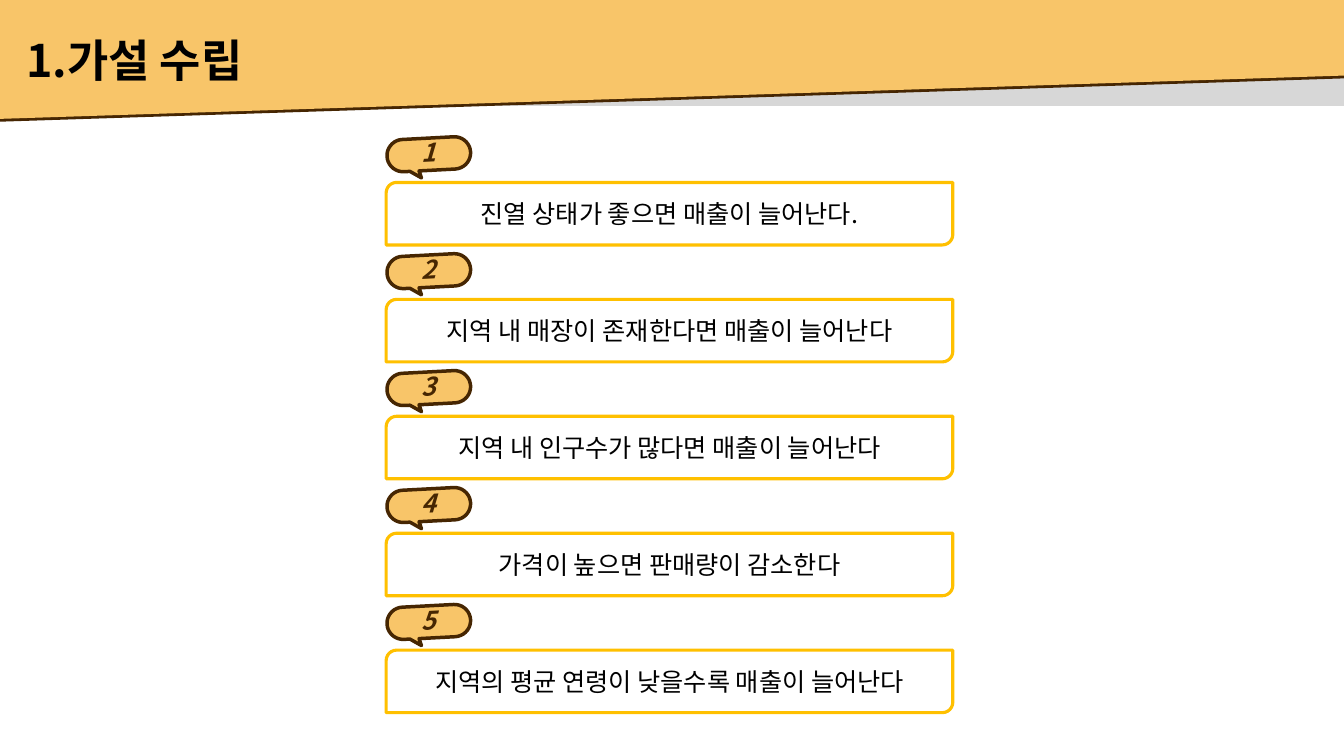
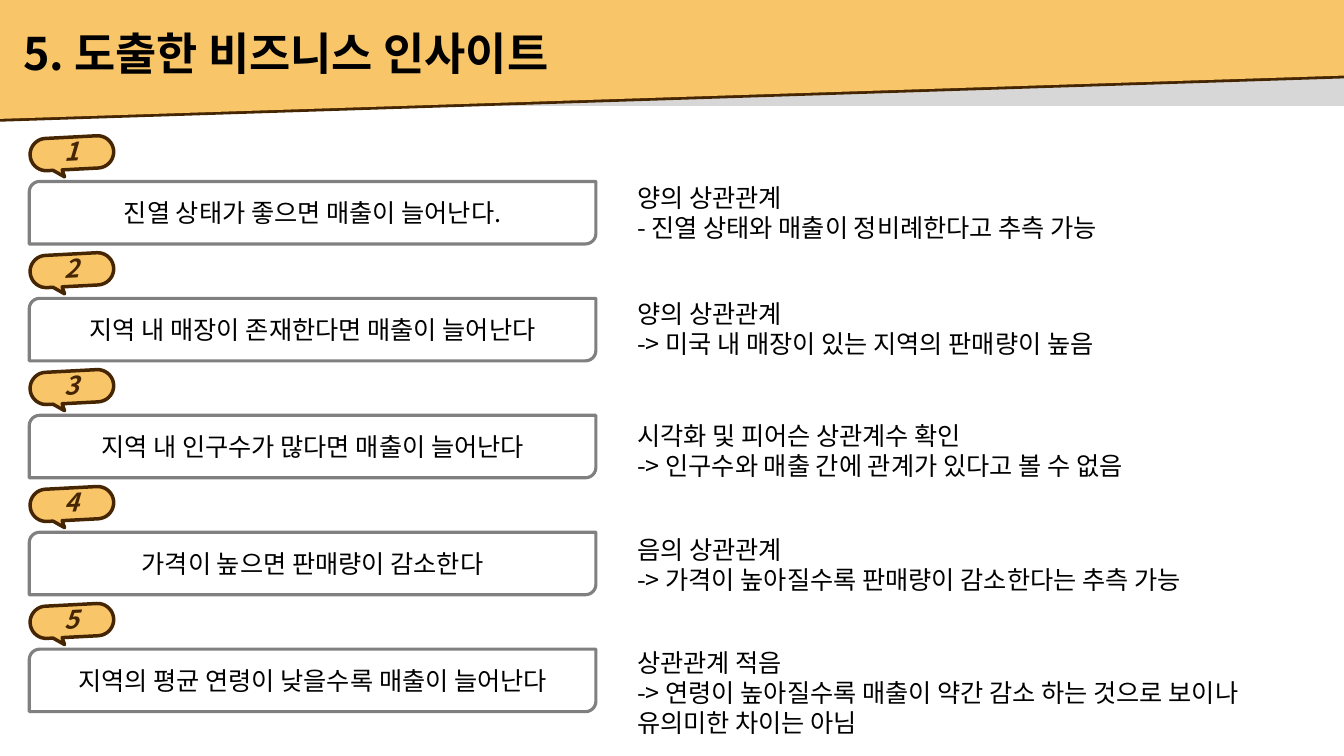
import math

from lxml import etree
from pptx import Presentation
from pptx.dml.color import RGBColor
from pptx.enum import shapes, text
from pptx.oxml import ns
from pptx.util import Inches, Pt

# Shared look
FONT = "Noto Sans CJK KR"
BLACK, WHITE, GRAY, SHADE = "000000", "FFFFFF", "808080", "A6A6A6"
HONEY, BROWN, GOLD = "F8C569", "462602", "FFC000"
TITLE = {"size": Pt(32), "bold": True}
BODY = {"size": Pt(18), "bold": False}
NUMBER = {"size": Pt(18), "bold": True, "italic": True}

# Row grid
PITCH = 1.16
BOX_WIDTH, BOX_HEIGHT = 5.62, 0.62
BUBBLE_RISE = 0.44

HYPOTHESES = [
    "진열 상태가 좋으면 매출이 늘어난다.",
    "지역 내 매장이 존재한다면 매출이 늘어난다",
    "지역 내 인구수가 많다면 매출이 늘어난다",
    "가격이 높으면 판매량이 감소한다",
    "지역의 평균 연령이 낮을수록 매출이 늘어난다",
]
INSIGHTS = [
    (1.76, ["양의 상관관계", "- 진열 상태와 매출이 정비례한다고 추측 가능"]),
    (2.91, ["양의 상관관계", "-> 미국 내 매장이 있는 지역의 판매량이 높음"]),
    (4.12, ["시각화 및 피어슨 상관계수 확인",
            "-> 인구수와 매출 간에 관계가 있다고 볼 수 없음"]),
    (5.25, ["음의 상관관계",
            "-> 가격이 높아질수록 판매량이 감소한다는 추측 가능"]),
    (6.37, ["상관관계 적음",
            "-> 연령이 높아질수록 매출이 약간 감소 하는 것으로 보이나",
            "유의미한 차이는 아님"]),
]


def color(value):
    return RGBColor.from_string(value)


def add_node(parent, tag, **attributes):
    return etree.SubElement(parent, ns.qn(tag), attributes)


def paint(shape, fill, line=None, width=0):
    shape.shadow.inherit = False
    shape.fill.solid()
    shape.fill.fore_color.rgb = color(fill)
    if line:
        shape.line.color.rgb = color(line)
        shape.line.width = Pt(width)
    else:
        shape.line.fill.background()


def write(shape, lines, style, ink=BLACK, align=text.PP_ALIGN.LEFT, **frame_format):
    frame = shape.text_frame
    for name, value in {"word_wrap": True, **frame_format}.items():
        setattr(frame, name, value)
    for index, line in enumerate(lines):
        para = frame.add_paragraph() if index else frame.paragraphs[0]
        para.alignment = align
        span = para.add_run()
        span.text = line
        for name, value in {"name": FONT, **style}.items():
            setattr(span.font, name, value)
        span.font.color.rgb = color(ink)
        add_node(span.font._element, "a:ea", typeface=FONT)


def add_outline(page, points, left=0, top=0):
    corners = [(Inches(x), Inches(y)) for x, y in points]
    builder = page.shapes.build_freeform(*corners[0])
    builder.add_line_segments(corners[1:], close=True)
    return builder.convert_to_shape(Inches(left), Inches(top))


def add_header(page):
    # Translucent strip behind the slanted band
    strip = page.shapes.add_shape(
        shapes.MSO_SHAPE.RECTANGLE,
        Inches(-0.02), Inches(-0.01), Inches(13.35), Inches(1.06))
    paint(strip, SHADE)
    add_node(strip.fill._xPr.find(".//" + ns.qn("a:srgbClr")), "a:alpha", val="44000")

    # Band with a hard shadow as its lower edge
    band = add_outline(page, [(0, 0), (13.33, 0), (13.33, 0.75), (-0.02, 1.18)])
    paint(band, HONEY)
    effects = band.element.spPr.find(ns.qn("a:effectLst"))
    shadow = add_node(effects, "a:outerShdw", blurRad="0", dist=str(Pt(2)),
                      dir="5400000", algn="t", rotWithShape="0")
    add_node(shadow, "a:srgbClr", val=BROWN)


def add_title(page, words, left, top, width):
    title = page.shapes.title
    title.left, title.top = Inches(left), Inches(top)
    title.width, title.height = Inches(width), Inches(0.64)
    write(title, [words], TITLE, vertical_anchor=text.MSO_ANCHOR.TOP,
          auto_size=text.MSO_AUTO_SIZE.SHAPE_TO_FIT_TEXT)
    # Bring the title in front of the band
    title.element.getparent().append(title.element)


def add_bubble(page, number, left, top):
    width, radius = 0.83, 0.16

    def round_end(center, start):
        angles = [math.radians(start + step * 10) for step in range(19)]
        return [(center + radius * math.cos(angle), radius + radius * math.sin(angle))
                for angle in angles]

    tail = [(0.31, 2 * radius), (0.33, 0.39), (0.22, 2 * radius)]
    points = round_end(width - radius, -90) + tail + round_end(radius, 90)
    bubble = add_outline(page, points, left, top)
    bubble.rotation = 357
    paint(bubble, HONEY, BROWN, 2.5)
    write(bubble, [str(number)], NUMBER, BROWN, text.PP_ALIGN.CENTER,
          word_wrap=False, margin_bottom=Inches(0.16),
          vertical_anchor=text.MSO_ANCHOR.MIDDLE)


def add_hypotheses(page, left, top, line):
    for index, hypothesis in enumerate(HYPOTHESES):
        row_top = top + index * PITCH
        add_bubble(page, index + 1, left + 0.01, row_top - BUBBLE_RISE)
        box = page.shapes.add_shape(
            shapes.MSO_SHAPE.ROUND_2_DIAG_RECTANGLE,
            Inches(left), Inches(row_top), Inches(BOX_WIDTH), Inches(BOX_HEIGHT))
        paint(box, WHITE, line, 2.25)
        write(box, [hypothesis], BODY, align=text.PP_ALIGN.CENTER,
              vertical_anchor=text.MSO_ANCHOR.MIDDLE)


def add_insights(page):
    for top, lines in INSIGHTS:
        note = page.shapes.add_textbox(
            Inches(6.22), Inches(top), Inches(7.11), Inches(0.11 + 0.3 * len(lines)))
        write(note, lines, BODY, auto_size=text.MSO_AUTO_SIZE.SHAPE_TO_FIT_TEXT)


def add_page(deck, words, left, top, width):
    page = deck.slides.add_slide(deck.slide_layouts.get_by_name("Title Only"))
    add_header(page)
    add_title(page, words, left, top, width)
    return page


def main():
    deck = Presentation()
    deck.slide_width, deck.slide_height = Inches(13.33), Inches(7.5)

    # Hypotheses
    page = add_page(deck, "1.가설 수립", 0.16, 0.27, 5.17)
    add_hypotheses(page, 3.83, 1.81, GOLD)

    # Insights beside each hypothesis
    page = add_page(deck, "5. 도출한 비즈니스 인사이트", 0.13, 0.2, 7)
    add_hypotheses(page, 0.29, 1.8, GRAY)
    add_insights(page)

    deck.save("out.pptx")


if __name__ == "__main__":
    main()
